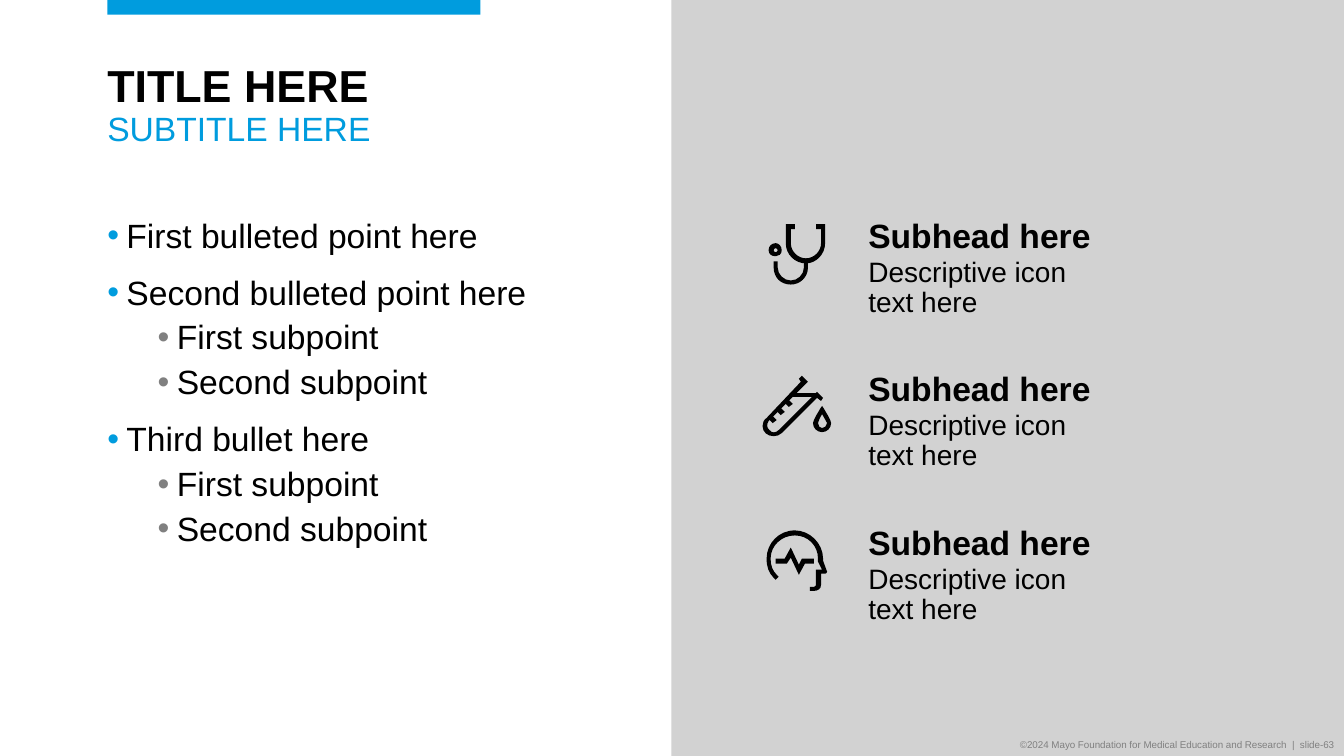
from lxml.etree import SubElement
from pptx import Presentation
from pptx.dml.color import RGBColor
from pptx.enum.shapes import MSO_SHAPE
from pptx.enum.text import MSO_ANCHOR, PP_ALIGN
from pptx.oxml.ns import qn
from pptx.util import Inches, Pt

WIDE, HIGH = Inches(13.33), Inches(7.5)
UNIT = HIGH / 750
COLORS = {"blue": "009CDE", "panel": "D2D2D2", "gray": "808080", "black": "000000"}
LEFT, ICON, TEXT = 7.98, 56.74, 64.61
TOP, PITCH = 28.97, 20.33

BULLETS = [
    (0, "First bulleted point here"),
    (0, "Second bulleted point here"),
    (1, "First subpoint"),
    (1, "Second subpoint"),
    (0, "Third bullet here"),
    (1, "First subpoint"),
    (1, "Second subpoint"),
]
LEVELS = [(0.19, 15, "blue"), (0.69, 6, "gray")]

SCOPE = [
    "13,37 9,37,6,35,6,31 6,27,9,24,13,24 16,24,19,27,19,31 19,35,16,37,13,37"
    "/13,29 12,29,11,30,11,31 11,32,12,33,13,33 14,33,15,32,15,31 15,30,14,29,13,29",
    "41,40 41,48 41,55,35,61,28,61 21,61,15,55,15,48 15,42 11,42 11,48 "
    "11,58,18,65,28,65 37,65,45,58,45,48 45,40",
    "53,5 53,10 58,10 58,24 58,32,51,39,43,39 35,39,28,32,28,24 28,10 32,10 32,5 "
    "23,5 23,24 23,35,32,44,43,44 53,44,62,35,62,24 62,5",
]
TICKS = [f"{22 - s},{30 + s} {25 - s},{26 + s} {30 - s},{31 + s} {26 - s},{34 + s}"
         for s in (0, 8, 16)]
TUBE = TICKS + [
    "11,63 5,63,0,59,0,53 0,50,1,47,4,45 38,9 36,6 39,3 45,9 6,48 4,51,4,55,7,57 "
    "9,60,13,60,16,57 54,19 60,25 58,28 54,25 19,60 17,62,14,63,11,63",
    "59,59 54,59,50,55,50,50 50,47,56,38,57,36 59,33 61,36 62,38,68,47,68,50 "
    "68,55,64,59,59,59"
    "/59,41 57,44,56,47,55,50 55,53,57,55,59,55 61,55,64,53,64,50 62,47,61,44,59,41",
    "30,20 54,20 54,24 30,24",
]
HEAD = [
    "64,45 60,34 60,32 60,17,47,4,32,4 16,4,4,17,4,32 4,40,6,46,11,51 13,53 16,50 "
    "14,48 10,44,8,39,8,32 8,19,19,9,32,9 45,9,55,19,55,32 55,35 59,43 53,43 53,58 "
    "53,59,52,60,51,60 47,60 47,64 51,64 55,64,58,62,58,58 58,47 62,47 63,47,64,46,64,45",
    "51,32 39,32 36,38 28,21 22,32 13,32 13,37 24,37 28,31 36,48 42,37 51,37",
]


def color(name):
    return RGBColor.from_string(COLORS[name])


def place(x, y, w, h):
    return [round(n / 100 * size) for n, size in zip((x, y, w, h), (WIDE, HIGH) * 2)]


def paint(shape, name):
    shape.shadow.inherit = False
    shape.fill.solid()
    shape.fill.fore_color.rgb = color(name)
    shape.line.fill.background()


def add_block(slide, area, name):
    paint(slide.shapes.add_shape(MSO_SHAPE.RECTANGLE, *place(*area)), name)


def add_box(slide, area, pads, anchor=MSO_ANCHOR.TOP):
    frame = slide.shapes.add_textbox(*place(*area)).text_frame
    frame.word_wrap = True
    frame.vertical_anchor = anchor
    side, top, base = pads
    frame.margin_left = frame.margin_right = Inches(side)
    frame.margin_top, frame.margin_bottom = Inches(top), Inches(base)
    return frame


def add_run(para, text, size, name="black", bold=False):
    run = para.add_run()
    run.text = text
    font = run.font
    font.name, font.size, font.bold = "Arial", Pt(size), bold
    font.color.rgb = color(name)


def add_lines(slide, area, pads, lines):
    para = add_box(slide, area, pads).paragraphs[0]
    para.line_spacing = 0.9
    for index, line in enumerate(lines):
        if index:
            para.add_line_break()
        add_run(para, *line)


def add_bullets(slide, area):
    frame = add_box(slide, area, (0, 0, 0.05))
    for index, (level, text) in enumerate(BULLETS):
        para = frame.add_paragraph() if index else frame.paragraphs[0]
        indent, gap, tint = LEVELS[level]
        para.level = level
        para.line_spacing = 0.9
        if index:
            para.space_before = Pt(gap)
        props = para._p.get_or_add_pPr()
        props.set("marL", str(Inches(indent)))
        props.set("indent", str(-Inches(0.19)))
        shade = SubElement(props, qn("a:buClr"))
        SubElement(shade, qn("a:srgbClr"), val=COLORS[tint])
        SubElement(props, qn("a:buFont"), typeface="Arial")
        SubElement(props, qn("a:buChar"), char="•")
        add_run(para, text, 24)


def parse(ring):
    return [[float(n) for n in step.split(",")] for step in ring.split()]


def pairs(steps):
    return [(x, y) for step in steps for x, y in zip(step[::2], step[1::2])]


def curve(shape, steps):
    lines = iter(list(shape._element.iter(qn("a:lnTo"))))
    for step in steps:
        line = next(lines)
        if len(step) == 6:
            line.tag = qn("a:cubicBezTo")
            for extra in (next(lines), next(lines)):
                line.append(extra[0])
                extra.getparent().remove(extra)


def add_icon(slide, x, y, parts):
    left, top = place(x, y, 0, 0)[:2]
    group = slide.shapes.add_group_shape()
    for part in parts:
        rings = [parse(ring) for ring in part.split("/")]
        pen = group.shapes.build_freeform(*rings[0][0], scale=UNIT)
        for index, ring in enumerate(rings):
            if index:
                pen.move_to(*ring[0])
            pen.add_line_segments(pairs(ring[1:]), close=False)
            pen.add_line_segments([], close=True)
        shape = pen.convert_to_shape(left, top)
        curve(shape, [step for ring in rings for step in ring[1:]])
        paint(shape, "black")


def add_topic(slide, row, icon):
    y = TOP + row * PITCH
    add_lines(slide, (TEXT, y, 26.63, 5.73), (0, 0, 0), [("Subhead here", 24, "black", True)])
    add_lines(slide, (TEXT, y + 3.8, 26.63, 10.67), (0, 0.1, 0.05),
              [("Descriptive icon ", 20), ("text here", 20)])
    add_icon(slide, ICON, y, icon)


def add_footer(slide):
    frame = add_box(slide, (55, 97.07, 45, 2.93), (0.1, 0.05, 0.05), MSO_ANCHOR.MIDDLE)
    para = frame.paragraphs[0]
    para.alignment = PP_ALIGN.RIGHT
    add_run(para, "©2024 Mayo Foundation for Medical Education and Research  |  slide-63",
            7, "gray")


def main():
    deck = Presentation()
    deck.slide_width, deck.slide_height = WIDE, HIGH
    slide = deck.slides.add_slide(deck.slide_layouts[6])
    add_block(slide, (49.96, 0, 50.04, 100), "panel")
    add_block(slide, (LEFT, 0, 27.76, 1.94), "blue")
    add_footer(slide)
    add_lines(slide, (LEFT, 7.8, 39.16, 14.27), (0, 0.05, 0.05),
              [("TITLE HERE", 32, "black", True), ("SUBTITLE HERE", 24, "blue")])
    add_bullets(slide, (LEFT, TOP, 39.16, 58.13))
    for row, icon in enumerate((SCOPE, TUBE, HEAD)):
        add_topic(slide, row, icon)
    deck.save("out.pptx")


if __name__ == "__main__":
    main()
